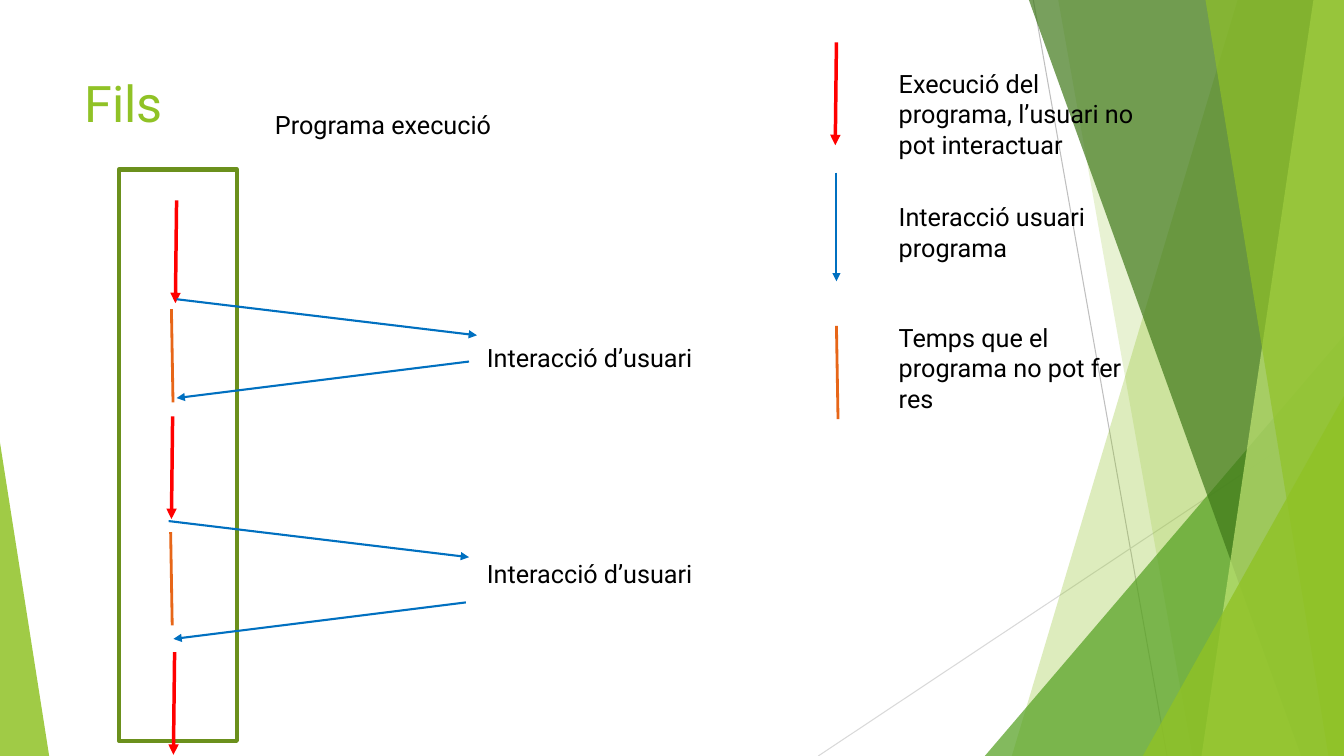
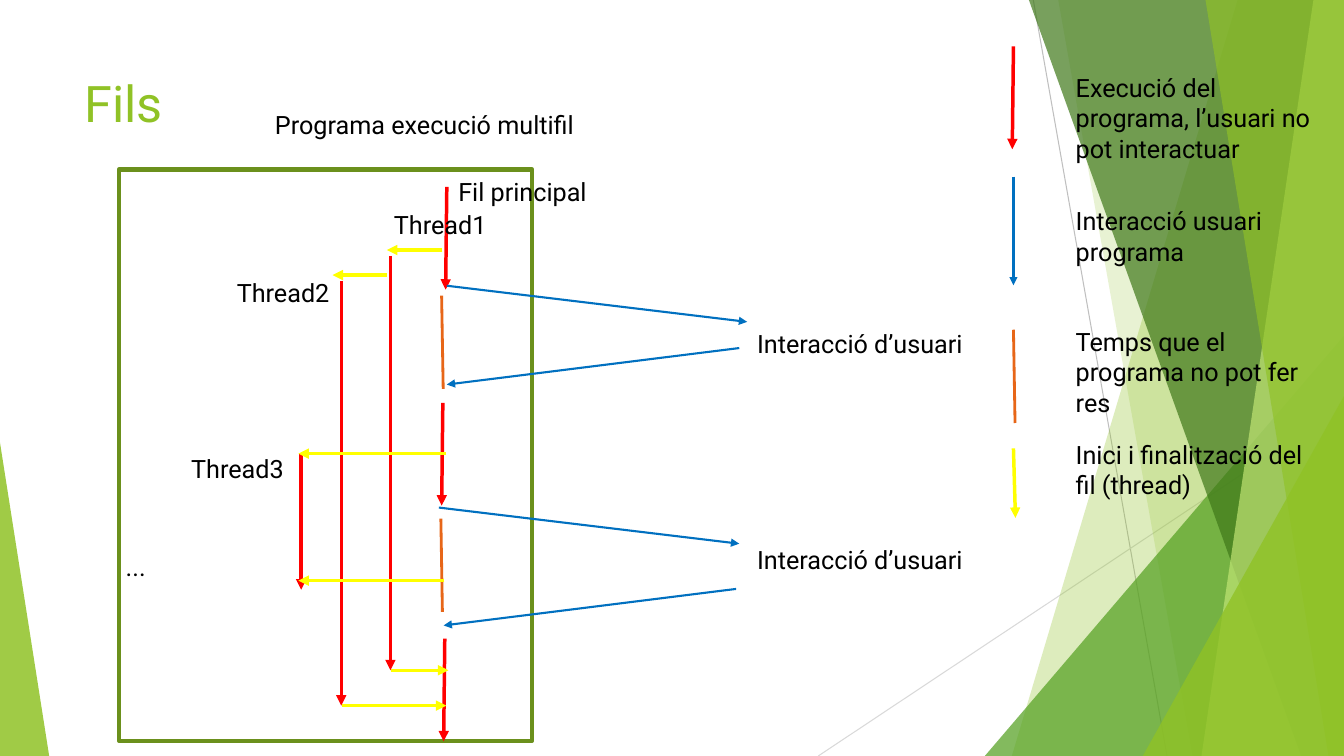
import pptx
import pptx.util
import pptx.dml.color
import pptx.enum.shapes
import pptx.enum.text
import pptx.oxml
import pptx.oxml.ns

Cm = pptx.util.Cm
RGBColor = pptx.dml.color.RGBColor
SHAPE = pptx.enum.shapes.MSO_SHAPE

WIDTH, HEIGHT = 33.87, 19.05
FONT = "Roboto"
BLACK = RGBColor(0x00, 0x00, 0x00)
GREEN = RGBColor(0x90, 0xC2, 0x26)
MID_GREEN = RGBColor(0x54, 0xA0, 0x21)
DARK_GREEN = RGBColor(0x3F, 0x78, 0x19)
PALE_GREEN = RGBColor(0xC0, 0xE4, 0x74)
FRAME_GREEN = RGBColor(0x6B, 0x90, 0x1C)
GREY = RGBColor(0xBF, 0xBF, 0xBF)
LIGHT_GREY = RGBColor(0xD9, 0xD9, 0xD9)
RED = RGBColor(0xFF, 0x00, 0x00)
BLUE = RGBColor(0x00, 0x70, 0xC0)
ORANGE = RGBColor(0xE7, 0x66, 0x18)
YELLOW = RGBColor(0xFF, 0xFF, 0x00)

# Line styles: colour, width in points, arrowhead
RUN = (RED, 2.5, True)
INTERACT = (BLUE, 1.5, True)
WAIT = (ORANGE, 2, False)
SPAWN = (YELLOW, 2.5, True)

# Steps of the main thread: style, extent, start points
MAIN_THREAD = [
    (RUN, (-0.03, 2.59), [(0, 0), (-0.1, 5.44), (-0.05, 11.38)]),
    (INTERACT, (7.57, 0.91), [(0, 2.49), (-0.2, 8.08)]),
    (INTERACT, (-7.37, 0.92), [(7.37, 4.06), (7.29, 10.13)]),
    (WAIT, (0.04, 2.35), [(-0.13, 2.74), (-0.15, 8.36)]),
]

# Legend rows: style, line top, line extent, text top, text lines, text
LEGEND = [
    (RUN, 0, (-0.03, 2.59), 0.53, 3,
     "Execució del programa, l’usuari no pot interactuar"),
    (INTERACT, 3.28, (0, 2.74), 3.89, 2, "Interacció usuari programa"),
    (WAIT, 7.14, (0.04, 2.35), 6.93, 3, "Temps que el programa no pot fer res"),
    (SPAWN, 10.13, (0.05, 1.75), 9.78, 2, "Inici i finalització del fil (thread)"),
]


def put_text(tf, text, size=18, color=BLACK, font=FONT):
    """Write one formatted run into a text frame."""
    r = tf.paragraphs[0].add_run()
    r.text = text
    r.font.size = pptx.util.Pt(size)
    r.font.name = font
    r.font.color.rgb = color


class Deck:
    """Hold the presentation, its style and the current slide."""

    def __init__(self):
        """Start an empty widescreen presentation."""
        self.prs = pptx.Presentation()
        self.prs.slide_width, self.prs.slide_height = Cm(WIDTH), Cm(HEIGHT)
        self.s = None

    def slide(self, title):
        """Add a slide with the shared decoration and title."""
        self.s = self.prs.slides.add_slide(self.prs.slide_layouts[6])
        self.decoration()
        self.text(title, 1.88, 1.7, 23.88, 3.66, size=36, color=GREEN)

    def text(self, text, x, y, w=6.73, h=1.02, **fmt):
        """Add a wrapping text box."""
        tf = self.s.shapes.add_textbox(Cm(x), Cm(y), Cm(w), Cm(h)).text_frame
        tf.word_wrap = True
        tf.vertical_anchor = pptx.enum.text.MSO_ANCHOR.TOP
        put_text(tf, text, **fmt)

    def line(self, start, end, color, width, arrow=False):
        """Add a straight line, with an arrowhead at its end if asked."""
        c = self.s.shapes.add_connector(
            pptx.enum.shapes.MSO_CONNECTOR.STRAIGHT,
            *(Cm(v) for v in (*start, *end)))
        c.line.color.rgb = color
        c.line.width = pptx.util.Pt(width)
        sp_pr = c._element.spPr
        if arrow:
            head = pptx.oxml.parse_xml(
                "<a:tailEnd %s type='triangle'/>" % pptx.oxml.ns.nsdecls("a"))
            c.line._get_or_add_ln().append(head)
        sp_pr.append(pptx.oxml.parse_xml(
            "<a:effectLst %s/>" % pptx.oxml.ns.nsdecls("a")))

    def step(self, start, extent, style):
        """Add a line given by its start and extent."""
        self.line(start, (start[0] + extent[0], start[1] + extent[1]), *style)

    def tint(self, sp, color, opacity):
        """Give a shape a translucent fill and no outline."""
        sp.shadow.inherit = False
        sp.fill.solid()
        sp.fill.fore_color.rgb = color
        sp.line.fill.background()
        clr = sp._element.spPr.find(".//" + pptx.oxml.ns.qn("a:srgbClr"))
        clr.append(pptx.oxml.parse_xml("<a:alpha %s val='%d'/>" % (
            pptx.oxml.ns.nsdecls("a"), opacity * 1000)))

    def band(self, top, bottom, color, opacity):
        """Add a slanted band that reaches the right edge."""
        fb = self.s.shapes.build_freeform(Cm(top), 0)
        fb.add_line_segments([(Cm(WIDTH), 0), (Cm(WIDTH), Cm(HEIGHT)),
                              (Cm(bottom), Cm(HEIGHT))])
        self.tint(fb.convert_to_shape(), color, opacity)

    def triangle(self, x, y, w, apex, color, opacity):
        """Add a triangle that stands on the bottom edge."""
        sp = self.s.shapes.add_shape(SHAPE.ISOSCELES_TRIANGLE, Cm(x), Cm(y),
                                     Cm(w), Cm(HEIGHT - y))
        sp.adjustments[0] = apex
        self.tint(sp, color, opacity)

    def decoration(self):
        """Draw the green facets around the slide."""
        self.line((26.04, 0), (29.41, HEIGHT), GREY, 0.75)
        self.line((WIDTH, 10.24), (20.62, HEIGHT), LIGHT_GREY, 0.75)
        self.band(31.19, 25.5, GREEN, 30)
        self.band(26.67, 30.05, GREEN, 20)
        self.triangle(24.82, 8.46, WIDTH - 24.82, 1, MID_GREEN, 72)
        self.band(25.93, 32.79, DARK_GREEN, 70)
        self.band(33.1, 30.28, PALE_GREEN, 70)
        self.band(30.38, 33.48, GREEN, 65)
        self.triangle(28.8, 9.98, WIDTH - 28.8, 1, GREEN, 80)
        self.triangle(0, 11.15, 1.24, 0, GREEN, 85)

    def program(self, name, w):
        """Add the program frame and its name."""
        sp = self.s.shapes.add_shape(SHAPE.RECTANGLE, Cm(3), Cm(4.27),
                                     Cm(w), Cm(14.4))
        sp.shadow.inherit = False
        sp.fill.background()
        sp.line.color.rgb = FRAME_GREEN
        sp.line.width = pptx.util.Pt(3)
        self.text(name, 6.68, 2.62, 10.36)

    def main_thread(self, x, y):
        """Draw the main thread and its user interactions."""
        for style, extent, starts in MAIN_THREAD:
            for dx, dy in starts:
                self.step((x + dx, y + dy), extent, style)
        for dy in (3.45, 8.89):
            self.text("Interacció d’usuari", x + 7.57, y + dy)

    def legend(self, x, y, rows):
        """Explain the line styles."""
        for style, top, extent, text_top, lines, text in rows:
            self.step((x, y + top), extent, style)
            self.text(text, x + 1.32, y + text_top, h=0.25 + 0.77 * lines)


def single_thread(deck):
    """Build the slide on a program with one thread."""
    deck.slide("Fils")
    deck.program("Programa execució", 2.97)
    deck.main_thread(4.45, 5.05)
    deck.legend(21.08, 1.07, LEGEND[:3])


def multi_thread(deck):
    """Build the slide on a program with several threads."""
    deck.slide("Fils")
    deck.program("Programa execució multifil", 10.41)
    deck.main_thread(11.26, 4.71)
    deck.legend(25.54, 1.17, LEGEND)
    for x, top, bottom in [(9.84, 6.45, 16.89), (8.6, 7.09, 17.78),
                           (7.59, 11.43, 14.86)]:
        deck.line((x, top), (x, bottom), *RUN)
    for x1, x2, y in [(11.15, 9.75, 6.3), (9.86, 11.3, 16.89),
                      (9.75, 8.38, 6.93), (8.61, 11.25, 17.78),
                      (11.25, 7.52, 11.43), (11.2, 7.52, 14.63)]:
        deck.line((x1, y), (x2, y), *SPAWN)
    for name, x, y in [("Fil principal", 11.3, 4.32), ("Thread1", 9.68, 5.16),
                       ("Thread2", 5.72, 6.86), ("Thread3", 4.57, 11.3),
                       ("...", 2.92, 13.77)]:
        deck.text(name, x, y)


deck = Deck()
single_thread(deck)
multi_thread(deck)
deck.prs.save("out.pptx")
